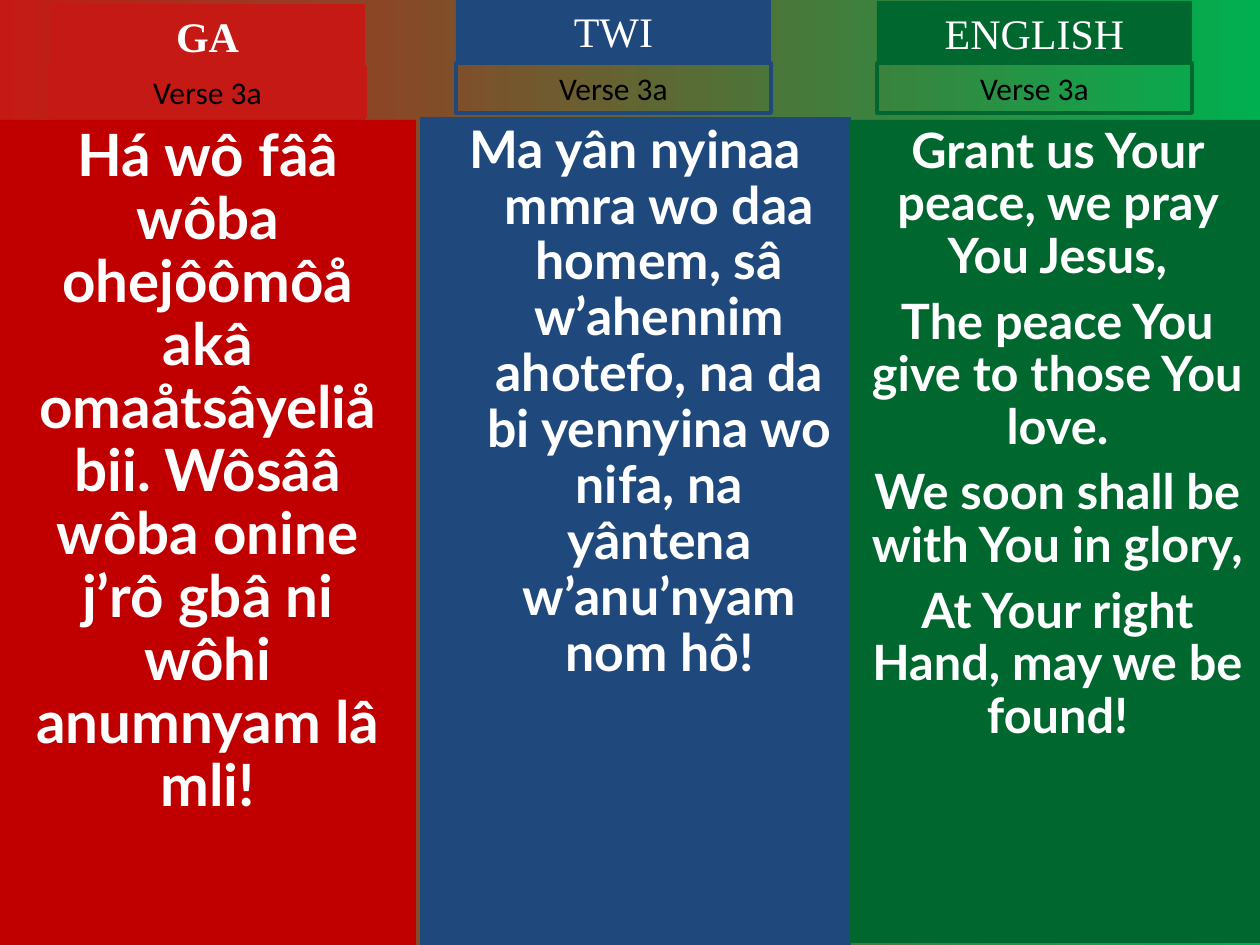
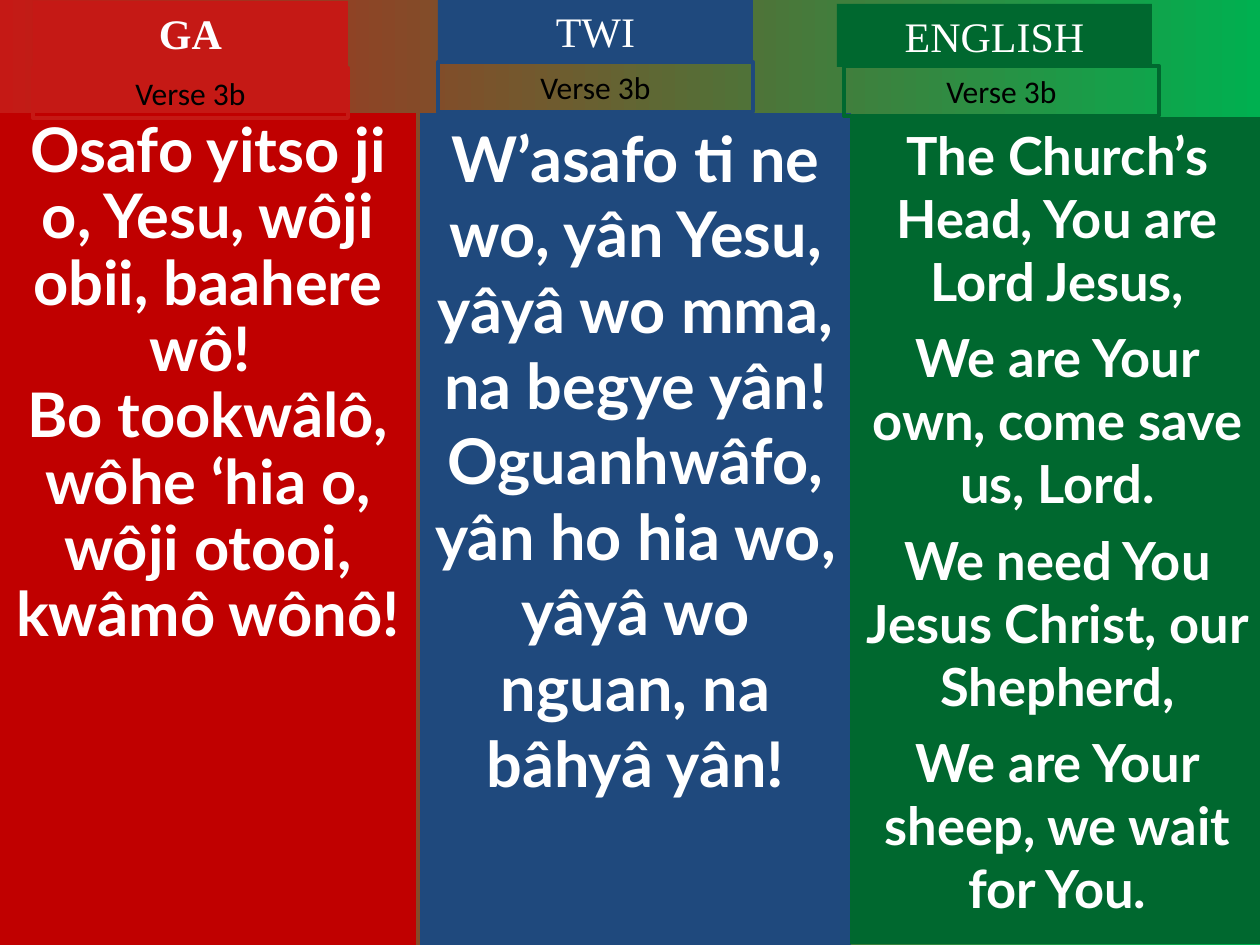
import pptx
import pptx.dml.color
import pptx.enum.shapes
import pptx.enum.text
import pptx.oxml.ns
import pptx.util
from lxml import etree

PX = pptx.util.Inches(1) / 126  # EMU in one px
COLORS = {
    "red": "C51915", "deep red": "C00000", "blue": "1F497D",
    "green": "00682F", "bright green": "00B050",
    "white": "FFFFFF", "black": "000000",
}
LANGUAGES = [("GA", "red", "deep red"), ("TWI", "blue", "blue"), ("ENGLISH", "green", "green")]
HEADER_SIZE = (315, 63)
LABEL_SIZE = (315, 50)

# Each column: header and label corners, panel box, then the panel's text format
VERSES = [
    ("Verse 3a", [
        dict(header=(50, 4), label=(50, 67), panel=(0, 120, 416, 825),
             size=33.3, spacing=0.9, lines=[
                 "Há wô fââ wôba ohejôômôå akâ omaåtsâyeliå bii. Wôsââ wôba onine "
                 "j’rô gbâ ni wôhi anumnyam lâ mli!"]),
        dict(header=(456, -1), label=(456, 63), panel=(420, 117, 431, 828),
             size=29.6, spacing=0.9, hanging=48, lines=[
                 "Ma yân nyinaa mmra wo daa homem, sâ w’ahennim ahotefo, na da bi "
                 "yennyina wo nifa, na yântena w’anu’nyam nom hô!"]),
        dict(header=(877, 1), label=(877, 63), panel=(850, 120, 415, 823),
             size=27.8, spacing=0.9, before=7.5, lines=[
                 "Grant us Your peace, we pray You Jesus,",
                 "The peace You give to those You love.",
                 "We soon shall be with You in glory,",
                 "At Your right Hand, may we be found!"]),
    ]),
    ("Verse 3b", [
        dict(header=(33, 1), label=(33, 68), panel=(0, 113, 416, 832),
             size=35.1, spacing=0.9, lines=[
                 "Osafo yitso ji o, Yesu, wôji obii, baahere wô! ",
                 "Bo tookwâlô, wôhe ‘hia o, wôji otooi, kwâmô wônô!"]),
        dict(header=(438, -1), label=(438, 62), panel=(420, 113, 431, 832),
             size=36, lines=[
                 "W’asafo ti ne wo, yân Yesu, yâyâ wo mma, na begye yân! Oguanhwâfo, "
                 "yân ho hia wo, yâyâ wo nguan, na bâhyâ yân!"]),
        dict(header=(837, 4), label=(844, 66), panel=(850, 117, 415, 827),
             size=30, before=7.5, lines=[
                 "The Church’s Head, You are Lord Jesus,",
                 "We are Your own, come save us, Lord.",
                 "We need You Jesus Christ, our Shepherd,",
                 "We are Your sheep, we wait for You."]),
    ]),
]


def place(shape, box, fill=None, line=None, grow=True):
    """Position a shape and give it its fill, outline and text frame settings."""
    shape.left, shape.top, shape.width, shape.height = [round(length * PX) for length in box]
    shape.shadow.inherit = False
    if fill:
        shape.fill.solid()
        shape.fill.fore_color.rgb = pptx.dml.color.RGBColor.from_string(COLORS[fill])
    else:
        shape.fill.background()
    if line:
        shape.line.color.rgb = pptx.dml.color.RGBColor.from_string(COLORS[line])
        shape.line.width = pptx.util.Pt(2.25)
    else:
        shape.line.fill.background()
    frame = shape.text_frame
    frame.word_wrap = True
    frame.vertical_anchor = pptx.enum.text.MSO_ANCHOR.TOP
    sizing = pptx.enum.text.MSO_AUTO_SIZE
    frame.auto_size = sizing.SHAPE_TO_FIT_TEXT if grow else sizing.NONE


def write(shape, lines, font, size, color, bold=False, spacing=1.0, before=0, hanging=0):
    """Write centred paragraphs without bullets."""
    frame = shape.text_frame
    for number, line in enumerate(lines):
        paragraph = frame.add_paragraph() if number else frame.paragraphs[0]
        properties = paragraph._p.get_or_add_pPr()
        properties.set("marL", str(round(hanging * PX)))
        properties.set("indent", str(round(-hanging * PX)))
        etree.SubElement(properties, pptx.oxml.ns.qn("a:buNone"))
        paragraph.alignment = pptx.enum.text.PP_ALIGN.CENTER
        paragraph.line_spacing = spacing
        paragraph.space_before = pptx.util.Pt(before if number else 0)
        paragraph.space_after = pptx.util.Pt(0)
        run = paragraph.add_run()
        run.text = line
        run.font.name = font
        run.font.size = pptx.util.Pt(size)
        run.font.bold = bold
        run.font.color.rgb = pptx.dml.color.RGBColor.from_string(COLORS[color])


presentation = pptx.Presentation()
presentation.slide_width = round(1260 * PX)
presentation.slide_height = round(945 * PX)

# Shared background: red to green, left to right
background = presentation.slide_master.background.fill
background.gradient()
background.gradient_angle = 0
for stop, color in zip(background.gradient_stops, ("red", "bright green")):
    stop.color.rgb = pptx.dml.color.RGBColor.from_string(COLORS[color])

comparison_layout = presentation.slide_layouts[4]
rectangle = pptx.enum.shapes.MSO_SHAPE.RECTANGLE

for verse, columns in VERSES:
    slide = presentation.slides.add_slide(comparison_layout)
    title, *bodies = slide.placeholders
    spare = bodies.pop()
    spare._element.getparent().remove(spare._element)

    for (language, accent, panel_color), column, panel in zip(LANGUAGES, columns, bodies):
        # Lyrics panel
        place(panel, column["panel"], fill=panel_color, grow=False)
        write(panel, column["lines"], "Lato", column["size"], "white", bold=True,
              spacing=column.get("spacing", 1.0), before=column.get("before", 0),
              hanging=column.get("hanging", 0))

        # Language header; the first one is the slide title
        first = language == "GA"
        header = title if first else slide.shapes.add_shape(rectangle, 0, 0, 0, 0)
        place(header, column["header"] + HEADER_SIZE, fill=accent)
        write(header, [language], "Times New Roman", 24, "white", bold=first)

        # Verse label
        label = slide.shapes.add_shape(rectangle, 0, 0, 0, 0)
        place(label, column["label"] + LABEL_SIZE, line=accent)
        write(label, [verse], "Calibri", 18, "black")

presentation.save("out.pptx")
